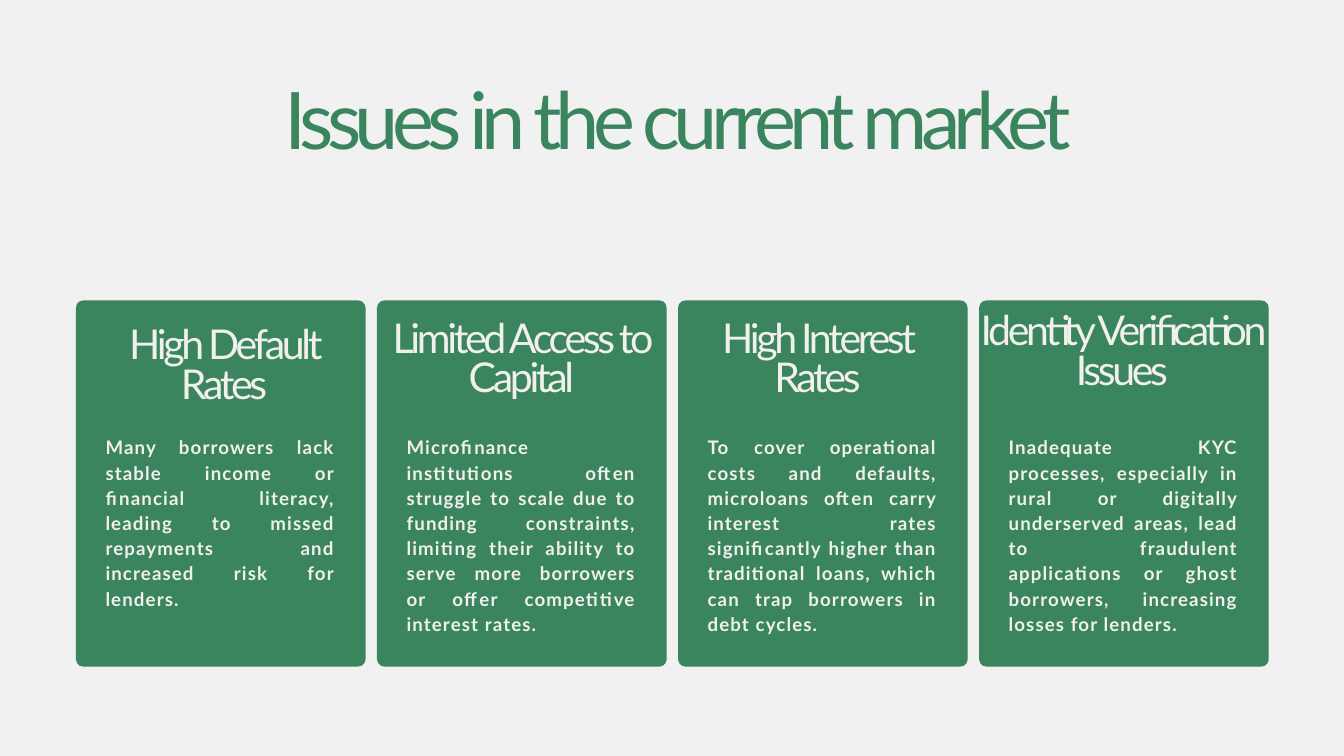
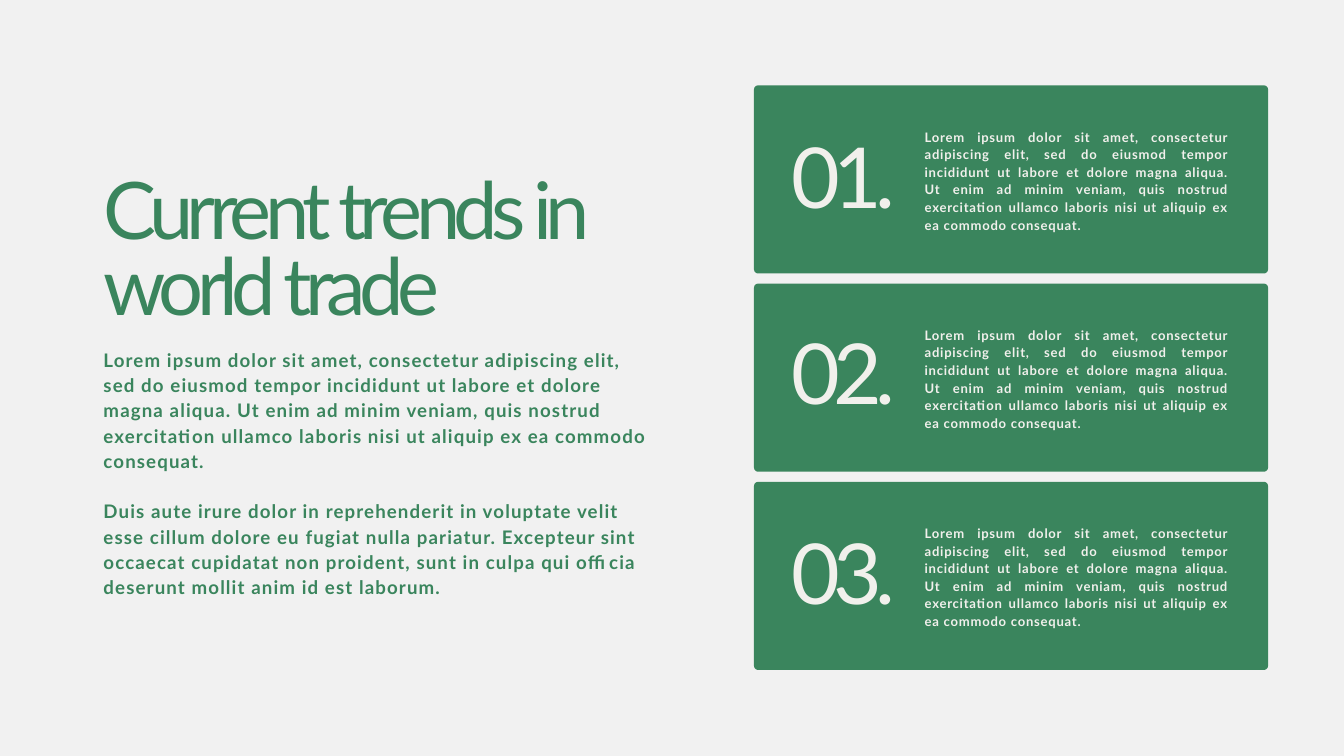
import pptx
import pptx.util
from pptx.dml.color import RGBColor
from pptx.enum.shapes import MSO_SHAPE
from pptx.enum.text import MSO_AUTO_SIZE, PP_ALIGN
from pptx.util import Inches

GREEN = RGBColor(0x3A, 0x85, 0x5D)
CREAM = RGBColor(0xF1, 0xF0, 0xEC)
BACKGROUND = RGBColor(0xF1, 0xF1, 0xF1)
FONT = "Lato"

TITLE = {"size": 85, "leading": 81.6, "tracking": -7}
HEADING = {"size": 44, "leading": 42.2, "tracking": -3.6, "align": PP_ALIGN.CENTER}
NUMBER = {"size": 90, "leading": 86.4, "tracking": -7.4}
BODY = {"size": 20, "leading": 27, "tracking": 1.2, "bold": True}
SMALL_BODY = {"size": 14, "leading": 18.9, "tracking": 0.8, "bold": True}

CARD_SIZE = (4.31, 5.45)
CARD_PITCH = 4.48
PANEL_SIZE = (7.65, 2.8)
PANEL_PITCH = 2.95

LOREM = (
    "Lorem ipsum dolor sit amet, consectetur adipiscing elit, sed do eiusmod tempor "
    "incididunt ut labore et dolore magna aliqua. Ut enim ad minim veniam, quis nostrud "
    "exercitation ullamco laboris nisi ut aliquip ex ea commodo consequat."
)
DUIS = (
    "Duis aute irure dolor in reprehenderit in voluptate velit esse cillum dolore eu "
    "fugiat nulla pariatur. Excepteur sint occaecat cupidatat non proident, sunt in "
    "culpa qui officia deserunt mollit anim id est laborum."
)

ISSUES = [
    ("High Default Rates", (0.56, 0.42, 3.29, 1.22),
     "Many borrowers lack stable income or financial literacy, leading to missed "
     "repayments and increased risk for lenders."),
    ("Limited Access to Capital", (0.05, 0.32, 4.2, 1.22),
     "Microfinance institutions often struggle to scale due to funding constraints, "
     "limiting their ability to serve more borrowers or offer competitive interest rates."),
    ("High Interest Rates", (0.29, 0.32, 3.57, 1.22),
     "To cover operational costs and defaults, microloans often carry interest rates "
     "significantly higher than traditional loans, which can trap borrowers in debt cycles."),
    ("Identity Verification Issues", (0, 0.21, 4.25, 1.22),
     "Inadequate KYC processes, especially in rural or digitally underserved areas, lead "
     "to fraudulent applications or ghost borrowers, increasing losses for lenders."),
]
TRENDS = [("01.", 0.88), ("02.", 0.85), ("03.", 0.87)]


def add_page(deck):
    """Add a blank page with the shared background."""
    page = deck.slides.add_slide(deck.slide_layouts[6])
    page.background.fill.solid()
    page.background.fill.fore_color.rgb = BACKGROUND
    return page


def add_text(page, area, paragraphs, color, size, leading, tracking,
             bold=False, align=PP_ALIGN.LEFT):
    """Add a text box without margins, one line of space between paragraphs."""
    box = page.shapes.add_textbox(*map(Inches, area))
    frame = box.text_frame
    frame.margin_left = frame.margin_top = frame.margin_right = frame.margin_bottom = 0
    frame.word_wrap = True
    frame.auto_size = MSO_AUTO_SIZE.SHAPE_TO_FIT_TEXT
    frame.text = "\n".join(paragraphs)
    for index, para in enumerate(frame.paragraphs):
        para.alignment = align
        para.line_spacing = pptx.util.Pt(leading)
        if index:
            para.space_before = pptx.util.Pt(leading)
        for span in para.runs:
            span.font.name = FONT
            span.font.size = pptx.util.Pt(size)
            span.font.bold = bold
            span.font.color.rgb = color
            span.font._element.set("spc", str(round(tracking * 100)))


def add_block(page, left, top, size, radius):
    """Add a green block with rounded corners."""
    block = page.shapes.add_shape(
        MSO_SHAPE.ROUNDED_RECTANGLE, *map(Inches, (left, top, *size)))
    block.adjustments[0] = radius / min(size)
    block.shadow.inherit = False
    block.fill.solid()
    block.fill.fore_color.rgb = GREEN
    block.line.fill.background()


def add_issue_card(page, left, top, heading, heading_area, description):
    """Add a card with a heading above a justified description."""
    add_block(page, left, top, CARD_SIZE, 0.11)
    x, y, width, height = heading_area
    add_text(page, (left + x, top + y, width, height), [heading], CREAM, **HEADING)
    add_text(page, (left + 0.44, top + 1.98, 3.41, 2.92), [description], CREAM,
             align=PP_ALIGN.JUSTIFY, **BODY)


def add_trend_panel(page, left, top, number, number_top):
    """Add a panel with a large number beside a justified description."""
    add_block(page, left, top, PANEL_SIZE, 0.06)
    add_text(page, (left + 0.56, top + number_top, 1.73, 1.28), [number], CREAM, **NUMBER)
    add_text(page, (left + 2.54, top + 0.62, 4.52, 1.55), [LOREM], CREAM,
             align=PP_ALIGN.JUSTIFY, **SMALL_BODY)


def build_issues(deck):
    """Build the page of market issues as a row of cards."""
    page = add_page(deck)
    add_text(page, (3.69, 1.33, 12.8, 1.2), ["Issues in the current market"], GREEN,
             align=PP_ALIGN.CENTER, **TITLE)
    for index, issue in enumerate(ISSUES):
        add_issue_card(page, 1.13 + index * CARD_PITCH, 4.47, *issue)


def build_trends(deck):
    """Build the page of trends with a stack of numbered panels."""
    page = add_page(deck)
    add_text(page, (1.54, 2.66, 9, 2.32), ["Current trends in world trade"], GREEN, **TITLE)
    add_text(page, (1.54, 5.15, 8.22, 3.65), [LOREM, DUIS], GREEN, **BODY)
    for index, trend in enumerate(TRENDS):
        add_trend_panel(page, 11.22, 1.27 + index * PANEL_PITCH, *trend)


def main():
    """Build and save the deck."""
    deck = pptx.Presentation()
    deck.slide_width = Inches(20)
    deck.slide_height = Inches(11.25)
    build_issues(deck)
    build_trends(deck)
    deck.save("out.pptx")


if __name__ == "__main__":
    main()
